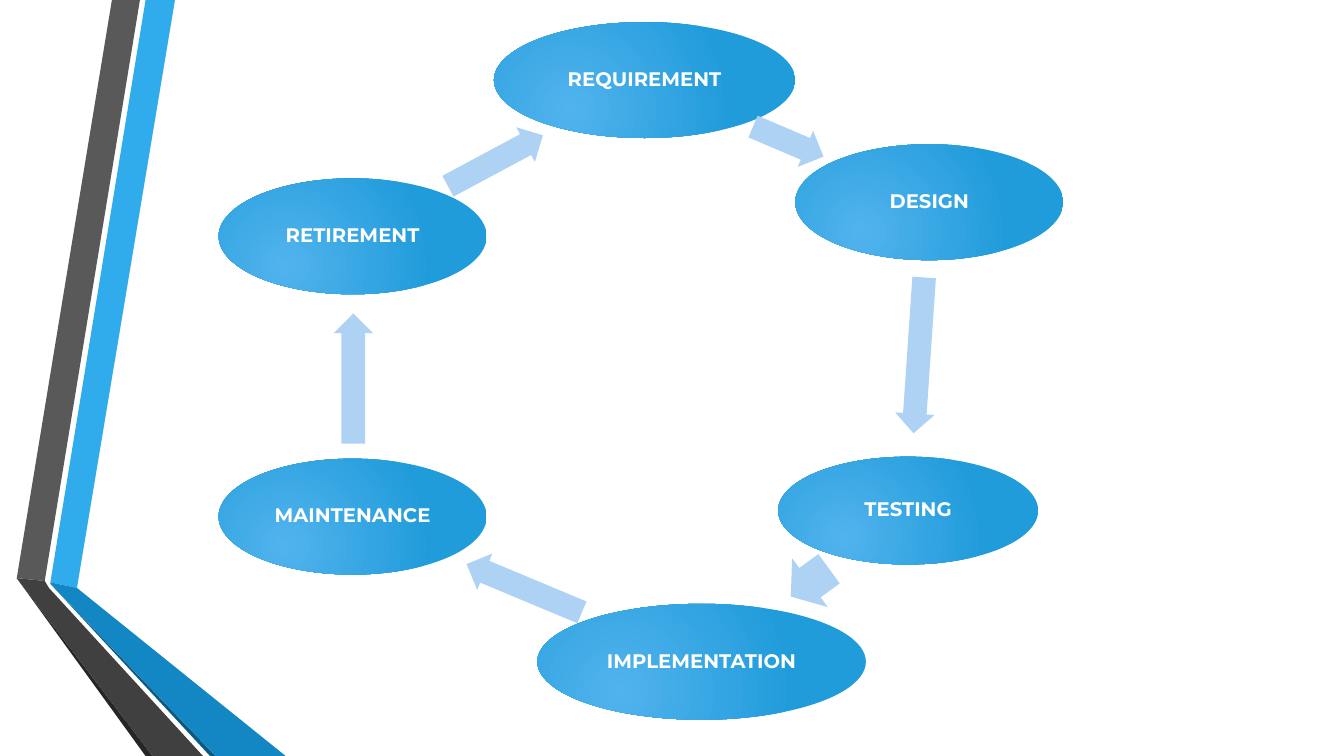
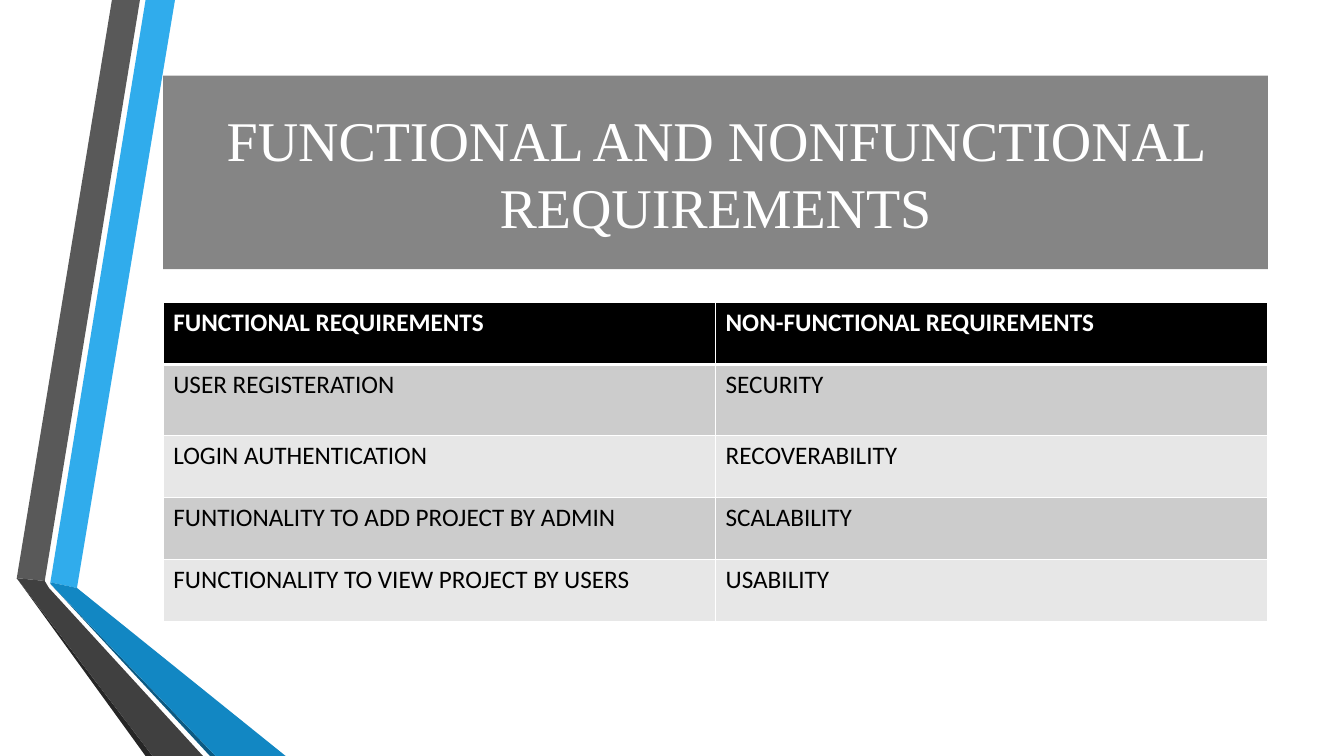
from dataclasses import dataclass

from lxml.etree import SubElement
from pptx import Presentation
from pptx.dml.color import RGBColor
from pptx.enum.shapes import MSO_SHAPE as Preset
from pptx.enum.text import MSO_ANCHOR as Anchor, MSO_AUTO_SIZE as AutoSize, PP_ALIGN as Align
from pptx.oxml.ns import qn
from pptx.util import Pt

WHITE = RGBColor(0xFF, 0xFF, 0xFF)
BLACK = RGBColor(0x00, 0x00, 0x00)
SKY = RGBColor(0x30, 0xAC, 0xEC)
BLUE = RGBColor(0x12, 0x87, 0xC3)
NAVY = RGBColor(0x0C, 0x5A, 0x82)
GRAY = RGBColor(0x59, 0x59, 0x59)
DARK_GRAY = RGBColor(0x40, 0x40, 0x40)
CHARCOAL = RGBColor(0x26, 0x26, 0x26)
STAGE_INNER = RGBColor(0x51, 0xB3, 0xED)
STAGE_OUTER = RGBColor(0x21, 0x9C, 0xDB)
ARROW_BLUE = RGBColor(0xAE, 0xD2, 0xF4)
ROW_DARK = RGBColor(0xCC, 0xCC, 0xCC)
ROW_LIGHT = RGBColor(0xE7, 0xE7, 0xE7)

STAGE_FONT = "Montserrat"
TITLE_FONT = "Times New Roman"
TABLE_FONT = "Calibri"
CONTENT_LEFT, CONTENT_WIDTH = 116.6, 789.1


@dataclass(frozen=True)
class Band:
    color: RGBColor
    points: tuple[tuple[float, float], ...]


@dataclass(frozen=True)
class Box:
    left: float
    top: float
    width: float
    height: float

    def lengths(self) -> tuple[Pt, ...]:
        return Pt(self.left), Pt(self.top), Pt(self.width), Pt(self.height)


@dataclass(frozen=True)
class Stage:
    label: str
    oval: Box
    arrow: Box
    angle: float


BANDS = (
    Band(SKY, ((36, 416.2), (55.4, 419.8), (124.6, 0), (104.4, 0))),
    Band(GRAY, ((100.1, 0), (79.9, 0), (11.5, 412.6), (31.7, 415.4))),
    Band(CHARCOAL, ((11.5, 412.6), (104.4, 540), (108.7, 540))),
    Band(NAVY, ((36, 416.9), (149.8, 540), (154.1, 540))),
    Band(BLUE, ((36, 416.2), (36, 416.9), (154.1, 540), (203.8, 540), (55.4, 419.8))),
    Band(DARK_GRAY, ((145.4, 540), (34.6, 419.8), (31.7, 415.4), (11.5, 412.6), (108.7, 540))),
)

STAGES = (
    Stage("REQUIREMENT", Box(352.8, 15.8, 215.3, 82.8), Box(535.7, 87.1, 54.7, 28.1), 23.1),
    Stage("DESIGN", Box(568.1, 103, 191.5, 82.8), Box(600.5, 239.8, 111.6, 28.1), 93.9),
    Stage("TESTING", Box(555.8, 326.2, 185.8, 77), Box(561.6, 394.6, 33.8, 43.2), 143.9),
    Stage("IMPLEMENTATION", Box(383.8, 431.3, 234.7, 82.8), Box(329.8, 406.1, 89.3, 28.1), 202.7),
    Stage("MAINTENANCE", Box(156.2, 327.6, 191.5, 82.8), Box(205.9, 256.3, 92.9, 28.1), 270),
    Stage("RETIREMENT", Box(156.2, 127.4, 191.5, 82.8), Box(315.4, 100.8, 77, 28.1), 331.8),
)

REQUIREMENTS = (
    ("FUNCTIONAL REQUIREMENTS", "NON-FUNCTIONAL REQUIREMENTS"),
    ("USER REGISTERATION", "SECURITY"),
    ("LOGIN AUTHENTICATION", "RECOVERABILITY"),
    ("FUNTIONALITY TO ADD PROJECT BY ADMIN", "SCALABILITY"),
    ("FUNCTIONALITY TO VIEW PROJECT BY USERS", "USABILITY"),
)
ROW_HEIGHTS = (44.3, 51.1, 44.3, 44.3, 44.3)


def add_run(paragraph, text: str, font: str, size: float, color: RGBColor, bold: bool = False) -> None:
    run = paragraph.add_run()
    run.text = text
    run.font.name = font
    run.font.size = Pt(size)
    run.font.bold = bold
    run.font.color.rgb = color


def clear_outline(shape) -> None:
    shape.shadow.inherit = False
    shape.line.fill.background()


def fill_solid(shape, color: RGBColor) -> None:
    shape.fill.solid()
    shape.fill.fore_color.rgb = color


def fill_radial(shape) -> None:
    shape.fill.gradient()
    for stop, color in zip(shape.fill.gradient_stops, (STAGE_INNER, STAGE_OUTER)):
        stop.color.rgb = color
    gradient = shape.element.spPr.find(qn("a:gradFill"))
    gradient.remove(gradient.find(qn("a:lin")))
    circle = SubElement(gradient, qn("a:path"), path="circle")
    SubElement(circle, qn("a:fillToRect"), l="50000", t="100000", r="100000", b="50000")


def add_bands_to_master(slide, master) -> None:
    tree = master.shapes.element
    for index, band in enumerate(BANDS):
        builder = slide.shapes.build_freeform(*band.points[0], scale=Pt(1))
        builder.add_line_segments(band.points[1:], close=True)
        shape = builder.convert_to_shape()
        fill_solid(shape, band.color)
        clear_outline(shape)
        shape.element.find(qn("p:nvSpPr")).find(qn("p:cNvPr")).set("id", str(100 + index))
        tree.insert(2 + index, shape.element)


def add_stage(slide, stage: Stage) -> None:
    oval = slide.shapes.add_shape(Preset.OVAL, *stage.oval.lengths())
    fill_radial(oval)
    clear_outline(oval)
    frame = oval.text_frame
    frame.word_wrap = True
    frame.vertical_anchor = Anchor.MIDDLE
    frame.margin_left = frame.margin_right = frame.margin_top = frame.margin_bottom = Pt(1.4)
    paragraph = frame.paragraphs[0]
    paragraph.alignment = Align.CENTER
    paragraph.line_spacing = 0.9
    add_run(paragraph, stage.label, STAGE_FONT, 14, WHITE, bold=True)

    arrow = slide.shapes.add_shape(Preset.RIGHT_ARROW, *stage.arrow.lengths())
    arrow.adjustments[0] = 0.6
    arrow.adjustments[1] = 0.5
    arrow.rotation = stage.angle
    fill_solid(arrow, ARROW_BLUE)
    clear_outline(arrow)


def format_title(slide, text: str) -> None:
    title = slide.shapes.title
    title.left, title.top, title.width, title.height = Box(CONTENT_LEFT, 54, CONTENT_WIDTH, 138.2).lengths()
    fill_solid(title, BLACK)
    color = title.element.spPr.find(qn("a:solidFill")).find(qn("a:srgbClr"))
    SubElement(color, qn("a:alpha"), val="48000")
    frame = title.text_frame
    frame.word_wrap = True
    frame.auto_size = AutoSize.NONE
    frame.vertical_anchor = Anchor.MIDDLE
    paragraph = frame.paragraphs[0]
    paragraph.alignment = Align.CENTER
    add_run(paragraph, text, TITLE_FONT, 40, WHITE)


def add_borders(cell, top: float, bottom: float) -> None:
    properties = cell._tc.get_or_add_tcPr()
    for side, width in (("L", 1), ("R", 1), ("T", top), ("B", bottom)):
        line = SubElement(properties, qn(f"a:ln{side}"), w=str(Pt(width)))
        fill = SubElement(line, qn("a:solidFill"))
        SubElement(fill, qn("a:srgbClr"), val=str(WHITE))


def add_requirements_table(slide) -> None:
    box = Box(CONTENT_LEFT, 216, CONTENT_WIDTH, sum(ROW_HEIGHTS))
    table = slide.shapes.add_table(len(REQUIREMENTS), 2, *box.lengths()).table
    for row_index, (labels, height) in enumerate(zip(REQUIREMENTS, ROW_HEIGHTS)):
        table.rows[row_index].height = Pt(height)
        is_header = row_index == 0
        fill = BLACK if is_header else ROW_DARK if row_index % 2 else ROW_LIGHT
        for column_index, label in enumerate(labels):
            cell = table.cell(row_index, column_index)
            add_borders(cell, 3 if row_index == 1 else 1, 3 if is_header else 1)
            fill_solid(cell, fill)
            color = WHITE if is_header else BLACK
            add_run(cell.text_frame.paragraphs[0], label, TABLE_FONT, 18, color, is_header)


def main() -> None:
    presentation = Presentation()
    presentation.slide_width, presentation.slide_height = Pt(960), Pt(540)
    layouts = presentation.slide_layouts

    cycle_slide = presentation.slides.add_slide(layouts.get_by_name("Blank"))
    add_bands_to_master(cycle_slide, presentation.slide_master)
    for stage in STAGES:
        add_stage(cycle_slide, stage)

    requirements_slide = presentation.slides.add_slide(layouts.get_by_name("Title Only"))
    format_title(requirements_slide, "FUNCTIONAL AND NONFUNCTIONAL REQUIREMENTS")
    add_requirements_table(requirements_slide)

    presentation.save("out.pptx")


if __name__ == "__main__":
    main()
